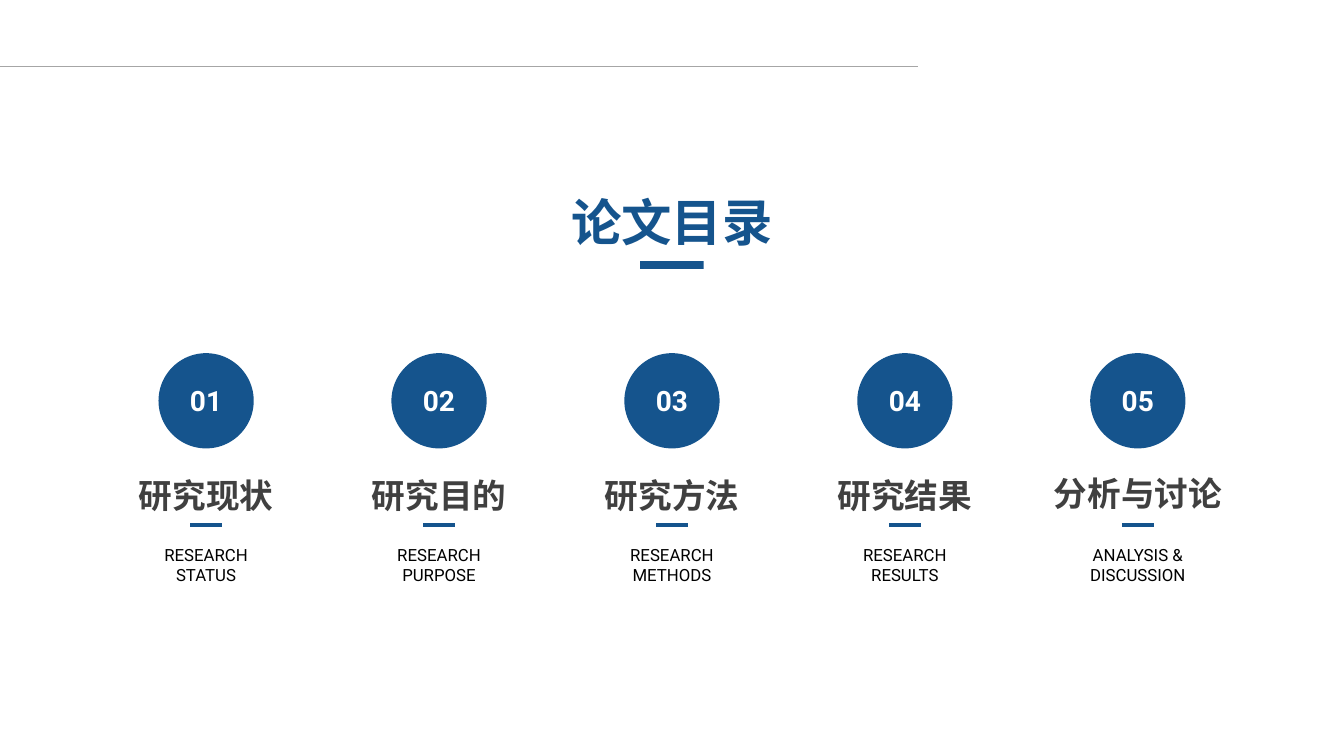
from lxml.etree import SubElement
from pptx import Presentation
from pptx.dml.color import RGBColor
from pptx.enum.shapes import MSO_CONNECTOR, MSO_SHAPE
from pptx.enum.text import MSO_ANCHOR, PP_ALIGN
from pptx.oxml.ns import qn
from pptx.util import Cm, Pt

# Content: heading, English caption, caption width, heading top (cm)
TITLE = "论文目录"
SECTIONS = [
    ("研究现状", "RESEARCH STATUS", 3.89, 11.84),
    ("研究目的", "RESEARCH PURPOSE", 4.29, 11.84),
    ("研究方法", "RESEARCH METHODS", 4.47, 11.84),
    ("研究结果", "RESEARCH RESULTS", 4.09, 11.84),
    ("分析与讨论", "ANALYSIS & DISCUSSION", 5.08, 11.8),
]

BLUE = RGBColor(0x15, 0x54, 0x8D)
DARK_GREY = RGBColor(0x40, 0x40, 0x40)
RULE_GREY = RGBColor(0xA6, 0xA6, 0xA6)
BLACK = RGBColor(0, 0, 0)
WHITE = RGBColor(255, 255, 255)
CHINESE = "Noto Sans CJK SC"
LATIN = "Roboto"

# Layout in centimetres
PAGE_WIDTH, PAGE_HEIGHT = 33.87, 19.05
MIDDLE = PAGE_WIDTH / 2
COLUMN_PITCH = 5.87
CIRCLE_MIDDLE = 10.1
DASH_TOP, DASH_WIDTH = 13.23, 0.8

deck = Presentation()
deck.slide_width, deck.slide_height = Cm(PAGE_WIDTH), Cm(PAGE_HEIGHT)
page = deck.slides.add_slide(deck.slide_layouts[6])


def write(frame, text, *, size, font, color, bold=False, wrap=False):
    frame.word_wrap = wrap
    para = frame.paragraphs[0]
    para.alignment = PP_ALIGN.CENTER
    span = para.add_run()
    span.text = text
    span.font.size = Pt(size)
    span.font.name = font
    span.font.bold = bold
    span.font.color.rgb = color
    if font == CHINESE:
        SubElement(span.font._element, qn("a:ea")).set("typeface", font)


def add_text(text, center, top, width, height, **style):
    box = page.shapes.add_textbox(Cm(center - width / 2), Cm(top), Cm(width), Cm(height))
    write(box.text_frame, text, **style)


def add_heading(text, center, top, height, size, color):
    width = len(text) * size * 2.54 / 72 + 0.55
    add_text(text, center, top, width, height, size=size, font=CHINESE, color=color, bold=True)


def add_solid(kind, center, top, width, height):
    shape = page.shapes.add_shape(kind, Cm(center - width / 2), Cm(top), Cm(width), Cm(height))
    shape.shadow.inherit = False
    shape.fill.solid()
    shape.fill.fore_color.rgb = BLUE
    shape.line.fill.background()
    return shape


def add_circle(center, diameter):
    return add_solid(MSO_SHAPE.OVAL, center, CIRCLE_MIDDLE - diameter / 2, diameter, diameter)


def add_line(start, end, top, color, weight):
    line = page.shapes.add_connector(MSO_CONNECTOR.STRAIGHT, Cm(start), Cm(top), Cm(end), Cm(top))
    line.line.color.rgb = color
    line.line.width = Pt(weight)
    SubElement(line._element.spPr, qn("a:effectLst"))


# Top rule and title
add_line(0, 23.14, 1.68, RULE_GREY, 0.75)
add_heading(TITLE, MIDDLE, 4.7, 1.8, 36, BLUE)
add_solid(MSO_SHAPE.RECTANGLE, MIDDLE, 6.58, 1.6, 0.2)

# Section columns
for index, (heading, caption, caption_width, heading_top) in enumerate(SECTIONS):
    center = MIDDLE + (index - (len(SECTIONS) - 1) / 2) * COLUMN_PITCH
    add_circle(center, 2.4)
    badge = add_circle(center, 1.98)
    badge.text_frame.vertical_anchor = MSO_ANCHOR.MIDDLE
    write(badge.text_frame, f"{index + 1:02}", size=20, font=LATIN, color=WHITE, bold=True)
    add_heading(heading, center, heading_top, 1.27, 24, DARK_GREY)
    add_line(center - DASH_WIDTH / 2, center + DASH_WIDTH / 2, DASH_TOP, BLUE, 2.25)
    add_text(caption, center, 13.59, caption_width, 0.76,
             size=12, font=LATIN, color=BLACK, wrap=True)

deck.save("out.pptx")
